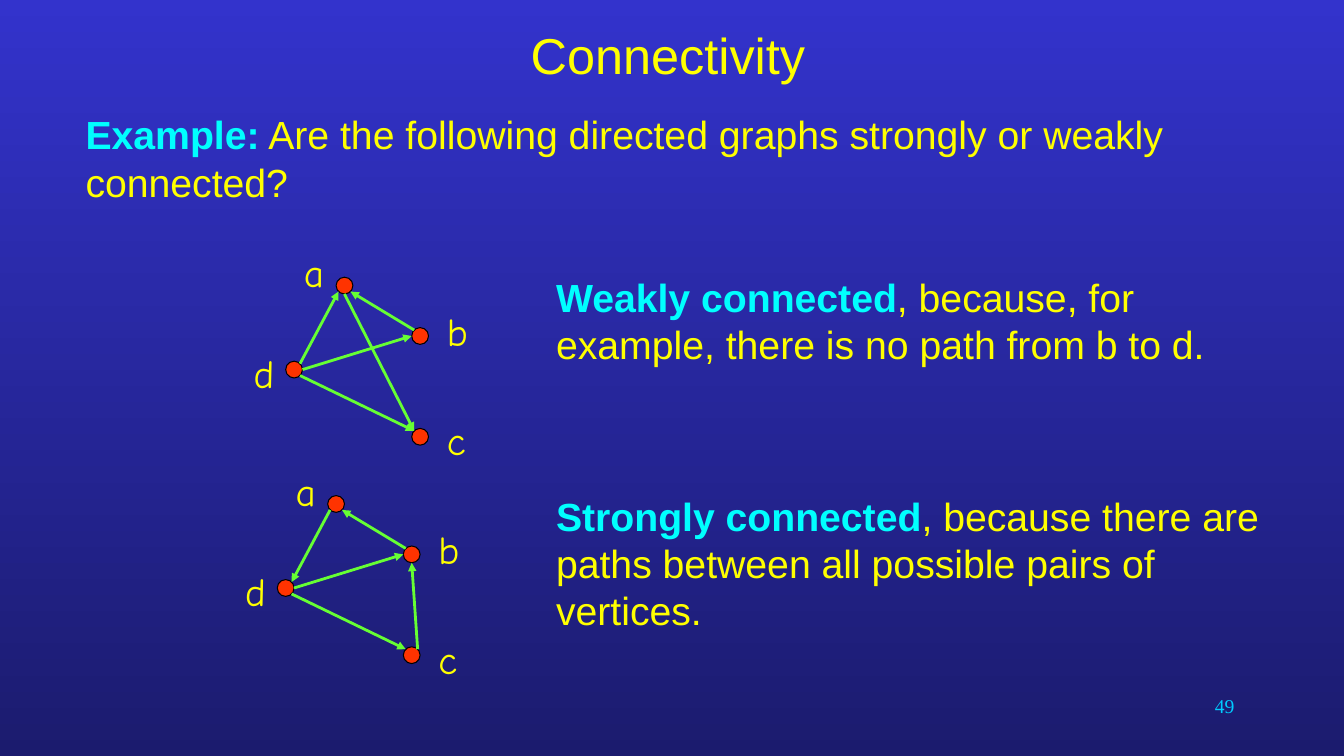
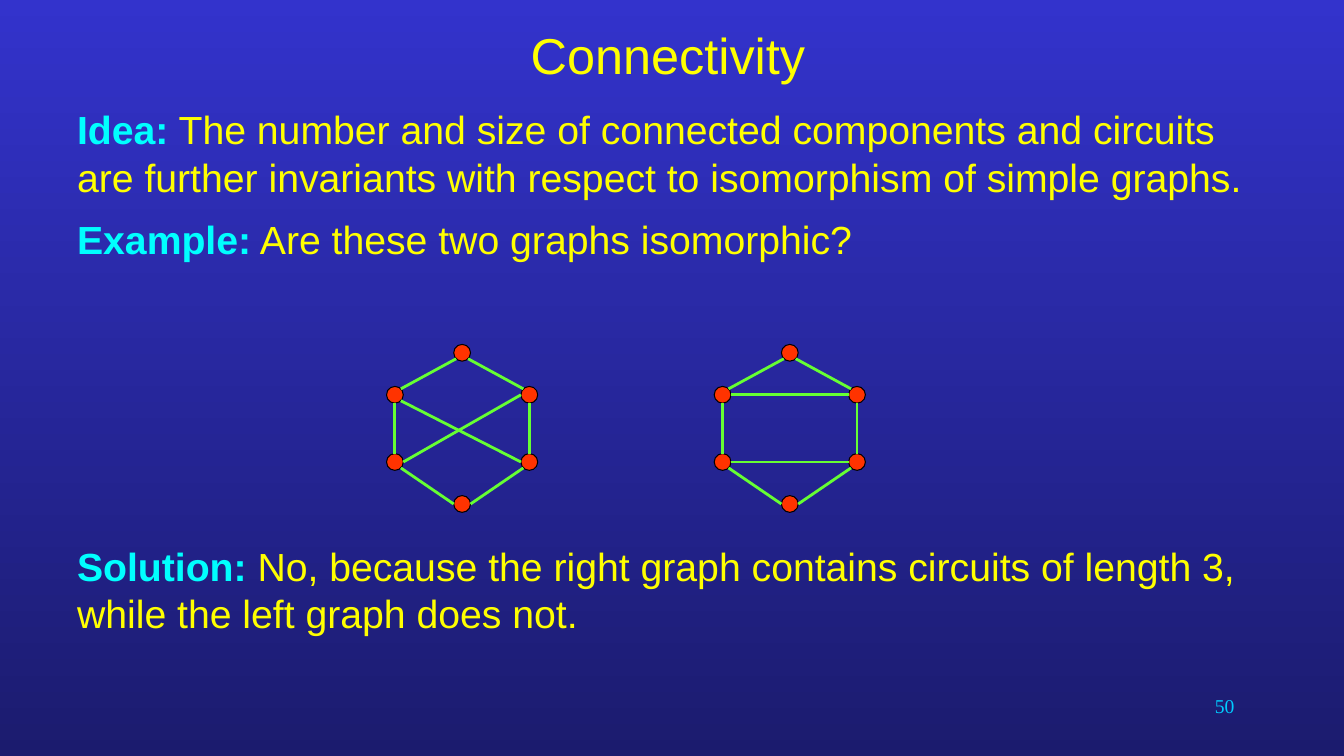
import dataclasses

import pptx
import pptx.dml.color
import pptx.enum.shapes
import pptx.enum.text
import pptx.oxml
import pptx.oxml.ns
import pptx.util


@dataclasses.dataclass(frozen=True)
class Theme:
    top: str = "3333CC"
    bottom: str = "1B1B6E"
    text: str = "FFFF00"
    accent: str = "00FFFF"
    number: str = "00CCFF"
    vertex: str = "FF3300"
    outline: str = "000000"
    edge: str = "66FF33"
    body_font: str = "Arial"
    label_font: str = "Comic Neue"
    number_font: str = "Times New Roman"
    title_size: int = 36
    body_size: int = 28
    number_size: int = 14


theme = Theme()
rgb = pptx.dml.color.RGBColor.from_string
align = pptx.enum.text.PP_ALIGN
anchor = pptx.enum.text.MSO_ANCHOR

deck = pptx.Presentation()
deck.slide_width = pptx.util.Inches(13.33)
deck.slide_height = pptx.util.Inches(7.5)
CELL = deck.slide_height / 90  # the slide is a grid of 160 by 90 cells

background = deck.slide_master.background.fill
background.gradient()
background.gradient_angle = 270
for stop, color in zip(background.gradient_stops, (theme.top, theme.bottom)):
    stop.color.rgb = rgb(color)

# Points on a vertex where an edge may end, in cells from its centre
DIAGONAL = 0.71
SITES = {
    "n": (0, -1), "s": (0, 1), "e": (1, 0), "w": (-1, 0),
    "ne": (DIAGONAL, -DIAGONAL), "nw": (-DIAGONAL, -DIAGONAL),
    "se": (DIAGONAL, DIAGONAL), "sw": (-DIAGONAL, DIAGONAL),
}


def write(shapes, area, paragraphs, font=theme.body_font, size=theme.body_size,
          color=theme.text, alignment=align.LEFT, middle=False, gaps=(0, 0)):
    """Add a text box; each paragraph is a (bold lead, plain rest) pair."""
    box = shapes.add_textbox(*(round(cells * CELL) for cells in area))
    frame = box.text_frame
    frame.word_wrap = True
    frame.vertical_anchor = anchor.MIDDLE if middle else anchor.TOP
    for index, (lead, rest) in enumerate(paragraphs):
        para = frame.add_paragraph() if index else frame.paragraphs[0]
        para.alignment = alignment
        para.space_before, para.space_after = (pptx.util.Pt(size * gap) for gap in gaps)
        para.font.name = font
        para.font.size = pptx.util.Pt(size)
        para.font.color.rgb = rgb(color)
        if lead:
            span = para.add_run()
            span.text = lead
            span.font.bold = True
            span.font.color.rgb = rgb(theme.accent)
        para.add_run().text = rest


def draw_graph(page, vertices, edges, shift, labels=None, directed=False):
    """Group vertices, edges ("from site to site") and labels, moved by shift."""
    shapes = page.shapes.add_group_shape().shapes
    centres = {name: (x + shift[0], y + shift[1]) for name, (x, y) in vertices.items()}
    for x, y in centres.values():
        dot = shapes.add_shape(
            pptx.enum.shapes.MSO_SHAPE.FLOWCHART_CONNECTOR,
            *(round(cells * CELL) for cells in (x - 1, y - 1, 2, 2)))
        dot.shadow.inherit = False
        dot.fill.solid()
        dot.fill.fore_color.rgb = rgb(theme.vertex)
        dot.line.color.rgb = rgb(theme.outline)
        dot.line.width = pptx.util.Pt(0.75)
    for edge in edges:
        start, start_site, end, end_site = edge.split()
        ends = [round((centre + offset) * CELL)
                for name, site in ((start, start_site), (end, end_site))
                for centre, offset in zip(centres[name], SITES[site])]
        line = shapes.add_connector(pptx.enum.shapes.MSO_CONNECTOR.STRAIGHT, *ends)
        line.line.color.rgb = rgb(theme.edge)
        line.line.width = pptx.util.Pt(2)
        if directed:
            head = pptx.oxml.parse_xml(
                f'<a:tailEnd {pptx.oxml.ns.nsdecls("a")} type="triangle"/>')
            line.line._get_or_add_ln().append(head)
        line._element.spPr.append(
            pptx.oxml.parse_xml(f'<a:effectLst {pptx.oxml.ns.nsdecls("a")}/>'))
    for name, (dx, dy) in (labels or {}).items():
        x, y = centres[name]
        write(shapes, (x + dx, y + dy, 8, 6.8), [("", name)],
              font=theme.label_font, gaps=(0.5, 0))


pages = []
for number in (49, 50):
    page = deck.slides.add_slide(deck.slide_layouts[6])
    write(page.shapes, (114.7, 82, 33.4, 6), [("", str(number))], font=theme.number_font,
          size=theme.number_size, color=theme.number, alignment=align.RIGHT)
    write(page.shapes, (23, 0, 113, 13), [("", "Connectivity")], size=theme.title_size,
          alignment=align.CENTER, middle=True)
    pages.append(page)
directed_page, simple_page = pages

texts = [
    (directed_page, (9, 12.6, 143, 13), [
        ("Example:", " Are the following directed graphs strongly or weakly connected?")]),
    (directed_page, (65, 32, 87, 23), [
        ("Weakly connected", ", because, for example, there is no path from b to d.")]),
    (directed_page, (65, 58, 87, 23), [
        ("Strongly connected",
         ", because there are paths between all possible pairs of vertices.")]),
    (simple_page, (8, 12, 145, 27), [
        ("Idea:", " The number and size of connected components and circuits are "
                  "further invariants with respect to isomorphism of simple graphs."),
        ("Example:", " Are these two graphs isomorphic?")]),
    (simple_page, (8, 64, 143, 13), [
        ("Solution:", " No, because the right graph contains circuits of length 3, "
                      "while the left graph does not.")]),
]
for page, area, paragraphs in texts:
    write(page.shapes, area, paragraphs, gaps=(0.2, 0.2))

corners = {"a": (41, 34), "b": (50, 40), "c": (50, 52), "d": (35, 44)}
corner_labels = {"a": (-6, -5), "b": (2, -4), "c": (2, -3), "d": (-6, -3)}
shared_arrows = ["b nw a se", "d e b w", "d se c nw"]
for shift, arrows in (
    ((0, 0), ["d ne a sw", "a s c nw"]),
    ((-1, 26), ["a sw d ne", "c ne b s"]),
):
    draw_graph(directed_page, corners, shared_arrows + arrows, shift,
               labels=corner_labels, directed=True)

hexagon = {
    "top": (55, 42), "bottom": (55, 60),
    "upper_left": (47, 47), "upper_right": (63, 47),
    "lower_left": (47, 55), "lower_right": (63, 55),
}
rim = [
    "lower_left n upper_left s", "lower_right n upper_right s",
    "upper_left ne top sw", "upper_right nw top se",
    "lower_left se bottom w", "bottom e lower_right sw",
]
for shift, chords in (
    ((0, 0), ["upper_left se lower_right w", "lower_left e upper_right w"]),
    ((39, 0), ["upper_left e upper_right w", "lower_left e lower_right w"]),
):
    draw_graph(simple_page, hexagon, rim + chords, shift)

deck.save("out.pptx")
